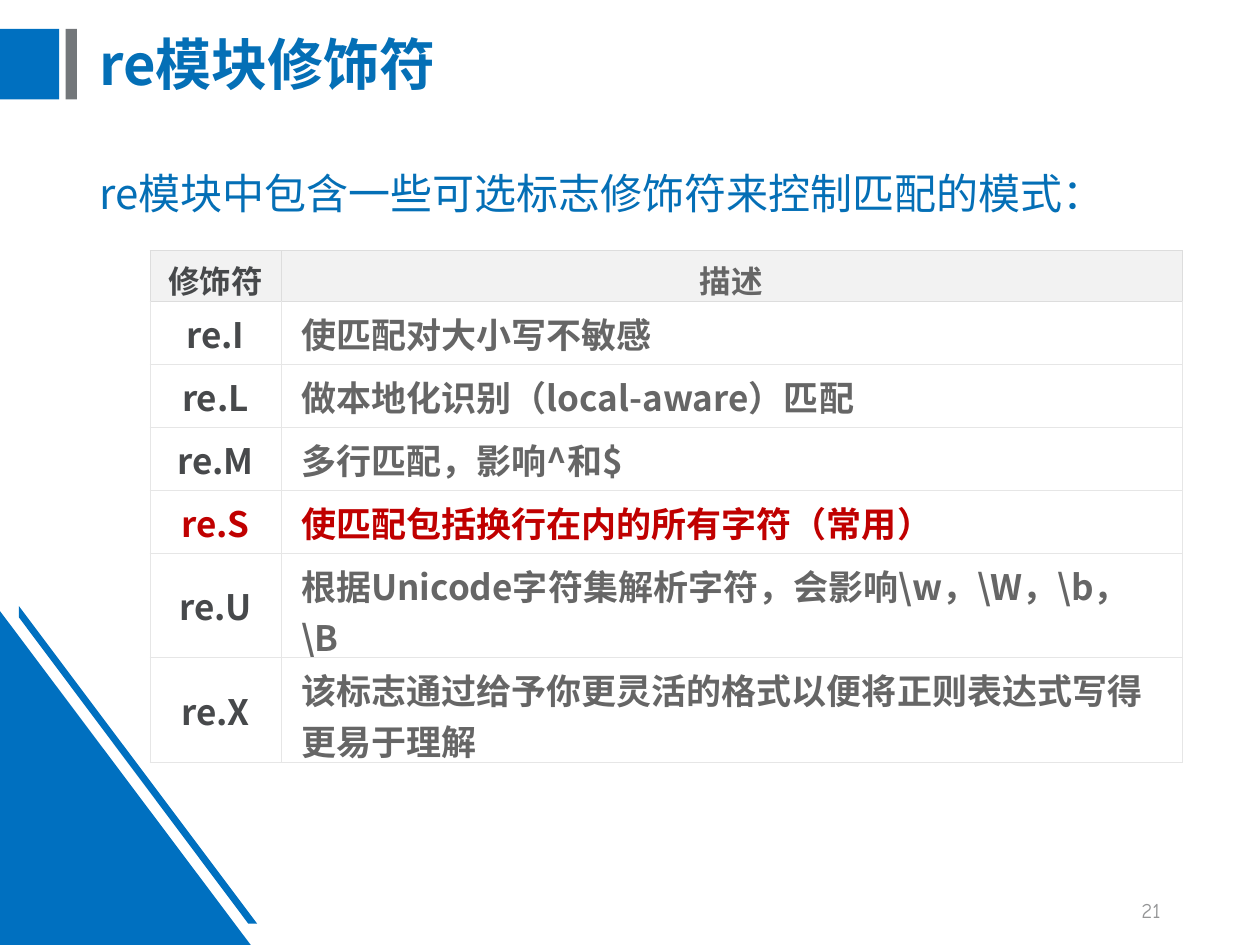
from dataclasses import dataclass

from lxml.etree import SubElement
from pptx import Presentation
from pptx.dml.color import RGBColor
from pptx.enum.shapes import MSO_SHAPE as Shape
from pptx.enum.text import MSO_ANCHOR as Anchor, PP_ALIGN as Align
from pptx.oxml import parse_xml
from pptx.oxml.ns import nsdecls, qn
from pptx.util import Inches, Pt


@dataclass(frozen=True)
class Theme:
    font: str = "Noto Sans CJK SC"
    number_font: str = "Comic Neue"
    accent: str = "0070C0"
    bar: str = "73777A"
    heading: str = "046FB6"
    page_number: str = "949596"
    name: str = "47494B"
    body: str = "666666"
    highlight: str = "C00000"
    header_fill: str = "F2F2F2"
    row_fill: str = "FFFFFF"
    header_border: str = "DDDDDD"
    row_border: str = "E6E6E6"
    title_size: int = 32
    lead_size: int = 24
    header_size: int = 18
    row_size: int = 20
    number_size: int = 12
    border_width: float = 0.45


THEME = Theme()

HEADER = ("修饰符", "描述")
MODIFIERS = [
    ("re.I", "使匹配对大小写不敏感"),
    ("re.L", "做本地化识别（local-aware）匹配"),
    ("re.M", "多行匹配，影响^和$"),
    ("re.S", "使匹配包括换行在内的所有字符（常用）"),
    ("re.U", "根据Unicode字符集解析字符，会影响\\w，\\W，\\b，\\B"),
    ("re.X", "该标志通过给予你更灵活的格式以便将正则表达式写得更易于理解"),
]
COMMON_MODIFIER = "re.S"
COLUMN_WIDTHS = (1.04, 7.15)
ROW_HEIGHTS = (0.39, 0.5, 0.5, 0.5, 0.5, 0.83, 0.83)


def write(frame, text, *, size, color, font=THEME.font, bold=False,
          align=Align.LEFT, line_spacing=None, space_before=0):
    frame.word_wrap = True
    paragraph = frame.paragraphs[0]
    paragraph.alignment = align
    paragraph.line_spacing = line_spacing
    paragraph.space_before = Pt(space_before)
    run = paragraph.add_run()
    run.text = text
    run.font.size = Pt(size)
    run.font.bold = bold
    run.font.color.rgb = RGBColor.from_string(color)
    run.font.name = font
    SubElement(run._r.get_or_add_rPr(), qn("a:ea"), typeface=font)


def add_label(slide, box, text, anchor=Anchor.TOP, **text_format):
    frame = slide.shapes.add_textbox(*map(Inches, box)).text_frame
    frame.vertical_anchor = anchor
    write(frame, text, **text_format)


def paint(shape, color):
    shape.shadow.inherit = False
    shape.fill.solid()
    shape.fill.fore_color.rgb = RGBColor.from_string(color)
    shape.line.fill.background()


def add_block(slide, kind, box, color):
    paint(slide.shapes.add_shape(kind, *map(Inches, box)), color)


def add_stripe(slide, points, color):
    start, *rest = [(Inches(x), Inches(y)) for x, y in points]
    outline = slide.shapes.build_freeform(*start)
    outline.add_line_segments(rest, close=True)
    paint(outline.convert_to_shape(), color)


def set_borders(cell, color, top_color):
    properties = cell._tc.get_or_add_tcPr()
    sides = {"lnL": color, "lnR": color, "lnT": top_color, "lnB": color}
    for position, (side, side_color) in enumerate(sides.items()):
        properties.insert(position, parse_xml(
            f'<a:{side} {nsdecls("a")} w="{Pt(THEME.border_width)}">'
            f'<a:solidFill><a:srgbClr val="{side_color}"/></a:solidFill></a:{side}>'
        ))


def fill_cell(cell, text, *, fill, border, top_border, margin, **text_format):
    cell.vertical_anchor = Anchor.MIDDLE
    cell.margin_left = cell.margin_right = Inches(margin)
    cell.margin_top = cell.margin_bottom = Inches(0.05)
    cell.fill.solid()
    cell.fill.fore_color.rgb = RGBColor.from_string(fill)
    set_borders(cell, border, top_border)
    write(cell.text_frame, text, bold=True, **text_format)


def add_modifier_table(slide):
    box = (1.19, 1.99, sum(COLUMN_WIDTHS), sum(ROW_HEIGHTS))
    table = slide.shapes.add_table(
        len(ROW_HEIGHTS), len(COLUMN_WIDTHS), *map(Inches, box)).table
    table.first_row = table.horz_banding = False
    for column, width in zip(table.columns, COLUMN_WIDTHS):
        column.width = Inches(width)
    for row, height in zip(table.rows, ROW_HEIGHTS):
        row.height = Inches(height)

    for index, entry in enumerate([HEADER, *MODIFIERS]):
        is_header = index == 0
        row_style = dict(
            fill=THEME.header_fill if is_header else THEME.row_fill,
            border=THEME.header_border if is_header else THEME.row_border,
            top_border=THEME.header_border if index < 2 else THEME.row_border,
            margin=0.09 if is_header else 0.16,
            size=THEME.header_size if is_header else THEME.row_size,
        )
        colors = (THEME.name, THEME.body)
        if entry[0] == COMMON_MODIFIER:
            colors = (THEME.highlight, THEME.highlight)
        aligns = (Align.CENTER, Align.CENTER if is_header else Align.LEFT)
        for column, (text, color, align) in enumerate(zip(entry, colors, aligns)):
            fill_cell(table.cell(index, column), text,
                      color=color, align=align, **row_style)


def add_decoration(slide):
    add_block(slide, Shape.RECTANGLE, (0, 0.23, 0.47, 0.56), THEME.accent)
    add_block(slide, Shape.RECTANGLE, (0.52, 0.23, 0.09, 0.56), THEME.bar)
    add_block(slide, Shape.RIGHT_TRIANGLE, (0, 4.85, 1.99, 2.65), THEME.accent)
    add_stripe(slide, [(0.15, 4.81), (2.04, 7.33), (1.97, 7.33), (0.15, 4.9)],
               THEME.accent)


def main():
    deck = Presentation()
    deck.slide_width, deck.slide_height = Inches(10), Inches(7.5)
    slide = deck.slides.add_slide(deck.slide_layouts[6])
    add_decoration(slide)
    add_label(slide, (0.69, 0.1, 8.9, 0.87), "re模块修饰符", Anchor.MIDDLE,
              size=THEME.title_size, color=THEME.heading, bold=True,
              line_spacing=0.9)
    add_label(slide, (0.69, 1.24, 8.9, 5.75),
              "re模块中包含一些可选标志修饰符来控制匹配的模式：",
              size=THEME.lead_size, color=THEME.heading, align=Align.JUSTIFY,
              line_spacing=1.1, space_before=9)
    add_label(slide, (7.06, 7.02, 2.25, 0.4), "21", Anchor.MIDDLE,
              size=THEME.number_size, color=THEME.page_number,
              font=THEME.number_font, align=Align.RIGHT)
    add_modifier_table(slide)
    deck.save("out.pptx")


if __name__ == "__main__":
    main()
